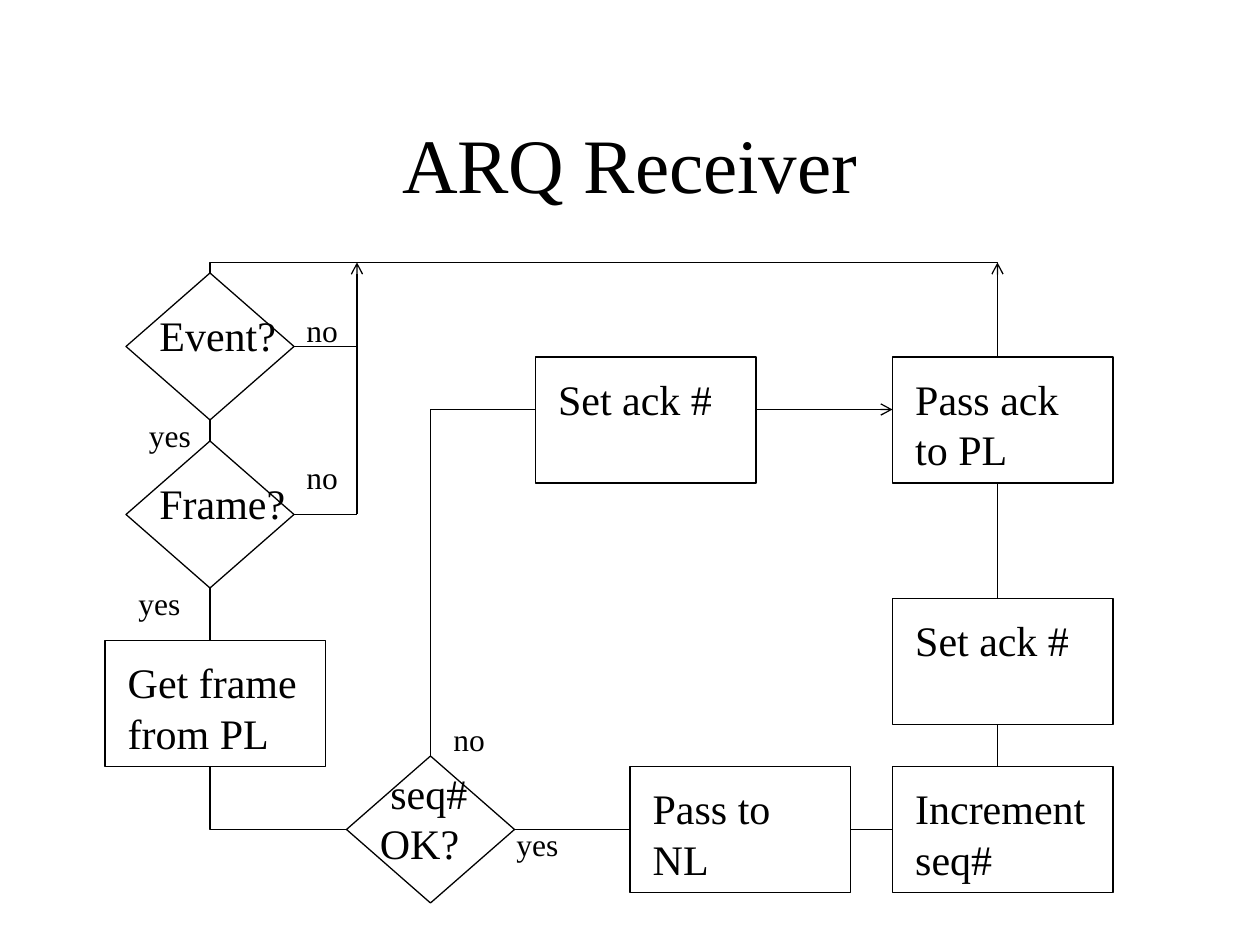
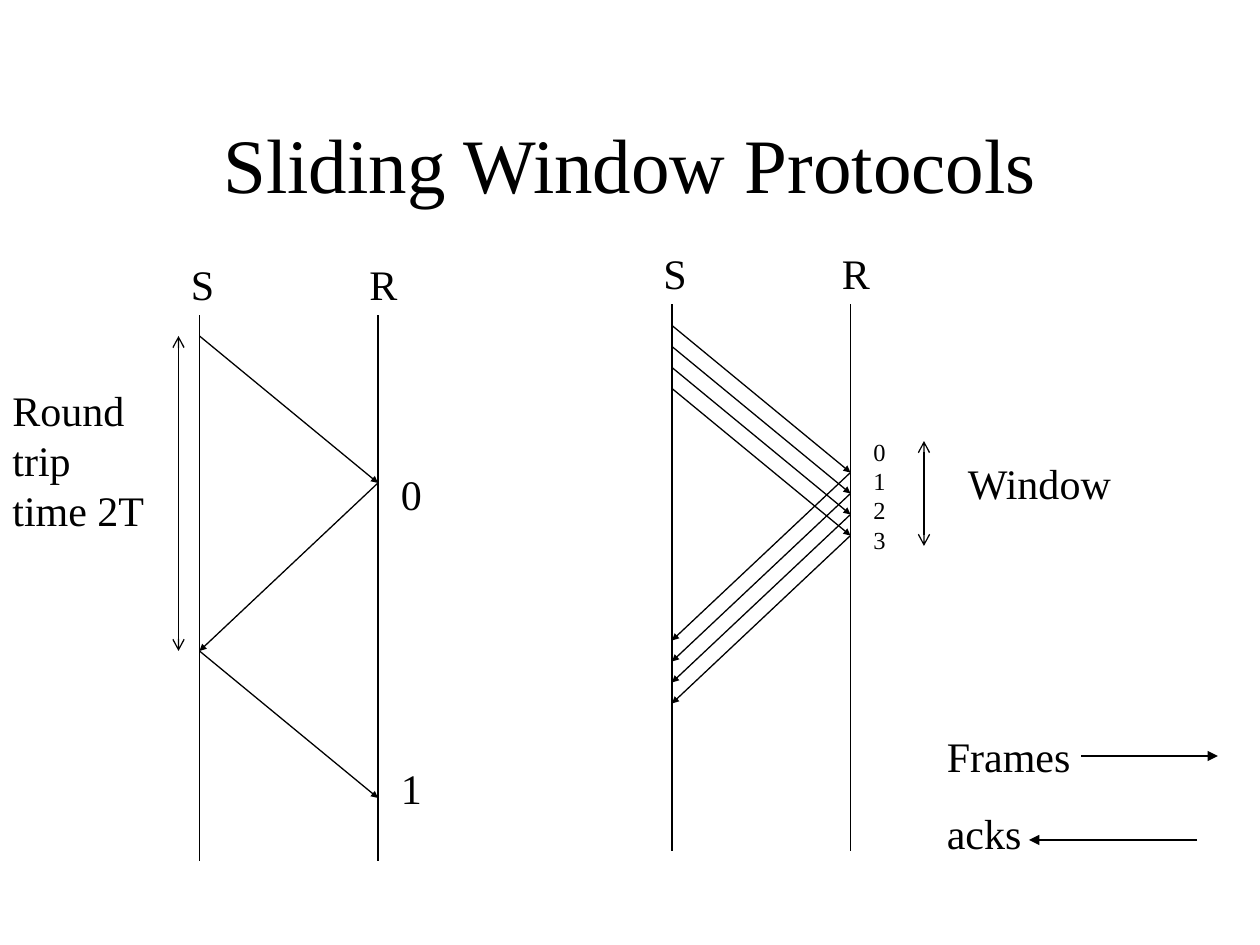
from dataclasses import dataclass

from lxml import etree
from pptx import Presentation
from pptx.dml.color import RGBColor
from pptx.enum.shapes import MSO_CONNECTOR, MSO_SHAPE
from pptx.enum.text import MSO_ANCHOR, MSO_AUTO_SIZE, PP_ALIGN
from pptx.oxml.ns import qn
from pptx.util import Inches, Pt

STRAIGHT = MSO_CONNECTOR.STRAIGHT
RECT = MSO_SHAPE.RECTANGLE
PROCESS = MSO_SHAPE.FLOWCHART_PROCESS
DECISION = MSO_SHAPE.FLOWCHART_DECISION
TOP, MIDDLE = MSO_ANCHOR.TOP, MSO_ANCHOR.MIDDLE
LEFT, CENTER = PP_ALIGN.LEFT, PP_ALIGN.CENTER
TITLE_ONLY = 5


@dataclass(frozen=True)
class Theme:
    font: str = "Times New Roman"
    ink: RGBColor = RGBColor(0, 0, 0)
    paper: RGBColor = RGBColor(255, 255, 255)
    title: int = 44
    body: int = 24
    label: int = 18
    small: int = 14
    line: float = 0.75
    leading: float = 1.2
    para_gap: int = 15


T = Theme()

# The slide is a grid of 120 columns by 90 rows
WIDTH, HEIGHT = Inches(10), Inches(7.5)
COL, ROW = WIDTH / 120, HEIGHT / 90


def place(x, y, w, h):
    return int(x * COL), int(y * ROW), int(w * COL), int(h * ROW)


# Text
def write(tf, lines, size, anchor=TOP, align=LEFT, gap=0, inset=(0.1, 0.05)):
    tf.word_wrap = True
    tf.auto_size = MSO_AUTO_SIZE.NONE
    tf.vertical_anchor = anchor
    tf.margin_left, tf.margin_top = Inches(inset[0]), Inches(inset[1])
    tf.margin_right, tf.margin_bottom = Inches(0.1), Inches(0.05)
    for i, line in enumerate(lines):
        p = tf.add_paragraph() if i else tf.paragraphs[0]
        p.alignment = align
        p.line_spacing = Pt(size * T.leading)
        p.space_before = Pt(gap if i else 0)
        r = p.add_run()
        r.text = line
        r.font.name, r.font.size = T.font, Pt(size)
        r.font.color.rgb = T.ink


def text(s, x, y, w, h, *lines, size=T.body, **style):
    write(s.shapes.add_textbox(*place(x, y, w, h)).text_frame, lines, size, **style)


def label(s, x, y, word):
    text(s, x, y, 7, 4.8, word, size=T.label, anchor=MIDDLE)


def titled_slide(prs, title):
    s = prs.slides.add_slide(prs.slide_layouts[TITLE_ONLY])
    s.background.fill.solid()
    s.background.fill.fore_color.rgb = T.paper
    sp = s.shapes.title
    sp.left, sp.top, sp.width, sp.height = place(9, 8, 102, 15)
    write(sp.text_frame, [title], T.title, anchor=MIDDLE, align=CENTER)
    return s


# Shapes and lines
def outline(s, kind, x, y, w, h, filled=True):
    sp = s.shapes.add_shape(kind, *place(x, y, w, h))
    sp.shadow.inherit = False
    if filled:
        sp.fill.solid()
        sp.fill.fore_color.rgb = T.paper
    else:
        sp.fill.background()
    sp.line.color.rgb, sp.line.width = T.ink, Pt(T.line)
    return sp


def process(s, x, y, *lines):
    sp = outline(s, PROCESS, x, y, 21, 12)
    write(sp.text_frame, lines, T.body, inset=(0.18, 0.13))


def decision(s, x, y, question):
    outline(s, DECISION, x, y, 16, 14)
    text(s, x + 2, y - 0.7, 15, 13.2, question, anchor=MIDDLE)


def line(s, x1, y1, x2, y2, head=None, tail=None, tip="med"):
    cx = s.shapes.add_connector(STRAIGHT, int(x1 * COL), int(y1 * ROW),
                                int(x2 * COL), int(y2 * ROW))
    cx.line.color.rgb, cx.line.width = T.ink, Pt(T.line)
    ln = cx.line._get_or_add_ln()
    for tag, kind in (("a:headEnd", head), ("a:tailEnd", tail)):
        if kind:
            etree.SubElement(ln, qn(tag), type=kind, w=tip, len=tip)
    etree.SubElement(cx._element.spPr, qn("a:effectLst"))


# Sliding window parts
FLIGHT = 17      # columns from sender to receiver
FRAME_DROP = 14  # rows a frame takes to arrive
ACK_DROP = 16    # rows an ack takes to return


def timelines(s, x, y):
    for i, name in enumerate("SR"):
        at = x + i * FLIGHT
        line(s, at, y, at, y + 52)
        text(s, at - 2, y - 6, 4, 6, name)


def frame(s, x, y):
    line(s, x, y, x + FLIGHT, y + FRAME_DROP, tail="triangle", tip="sm")


def ack(s, x, y):
    line(s, x + FLIGHT, y, x, y + ACK_DROP, tail="triangle", tip="sm")


def exchange(s, x, y):
    frame(s, x, y)
    ack(s, x, y + FRAME_DROP)


def span(s, x, top, bottom):
    line(s, x, top, x, bottom, head="arrow", tail="arrow")


def receiver_slide(prs):
    s = titled_slide(prs, "ARQ Receiver")

    # Main loop and its branches
    outline(s, RECT, 20, 25, 75, 54, filled=False)
    line(s, 95, 34, 95, 25, tail="arrow")
    for y in (33, 49):
        line(s, 28, y, 34, y)
    line(s, 34, 49, 34, 25, tail="arrow")
    line(s, 41, 72, 41, 39)
    line(s, 41, 39, 85, 39, tail="arrow")

    # Questions and answers
    for x, y, question in ((12, 26, "Event?"), (12, 42, "Frame?"),
                           (33, 72, " seq# OK?")):
        decision(s, x, y, question)
    for x, y, word in ((13, 39, "yes"), (28, 29, "no"), (12, 55, "yes"),
                       (28, 43, "no"), (48, 78, "yes"), (42, 68, "no")):
        label(s, x, y, word)

    # Steps
    for x, y, *lines in ((10, 61, "Get frame", "from PL"),
                         (60, 73, "Pass to", "NL"),
                         (85, 73, "Increment", "seq#"),
                         (85, 57, "Set ack #"),
                         (51, 34, "Set ack #"),
                         (85, 34, "Pass ack", "to PL")):
        process(s, x, y, *lines)


def window_slide(prs):
    s = titled_slide(prs, "Sliding Window Protocols")

    # One frame per round trip
    timelines(s, 19, 30)
    exchange(s, 19, 32)
    frame(s, 19, 62)
    span(s, 17, 32, 62)
    text(s, 0, 36, 15, 15.6, "Round trip time 2T")
    text(s, 37, 44, 5, 6, "0")
    text(s, 37, 72, 5, 6, "1")

    # A window of four frames
    timelines(s, 64, 29)
    for i in range(4):
        exchange(s, 64, 31 + 2 * i)
    text(s, 82, 41, 3, 12.5, "0123", size=T.small)
    span(s, 88, 42, 52)
    text(s, 91, 43, 18, 6, "Window")

    # Legend
    text(s, 89, 69, 16, 13.3, "Frames", "acks", gap=T.para_gap)
    line(s, 103, 72, 116, 72, tail="triangle")
    line(s, 114, 80, 98, 80, tail="triangle")


def main():
    prs = Presentation()
    prs.slide_width, prs.slide_height = WIDTH, HEIGHT
    receiver_slide(prs)
    window_slide(prs)
    prs.save("out.pptx")


if __name__ == "__main__":
    main()
